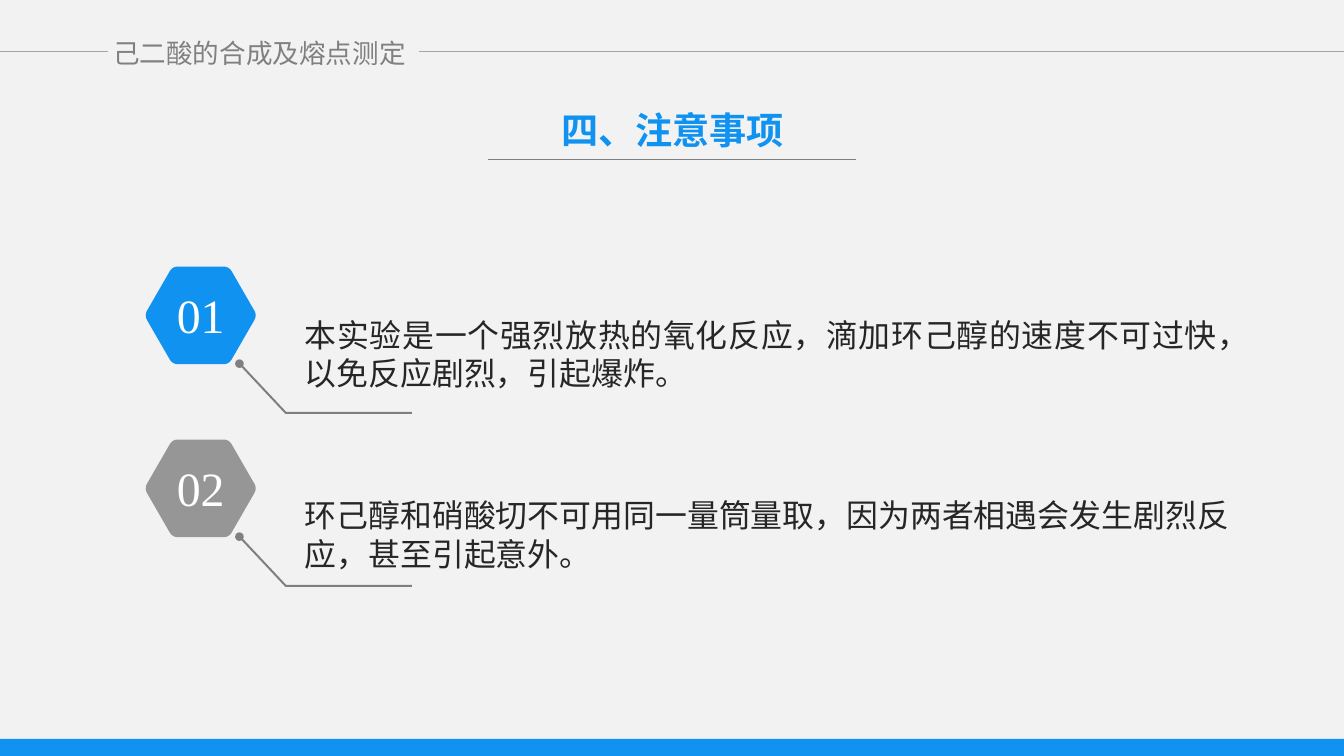
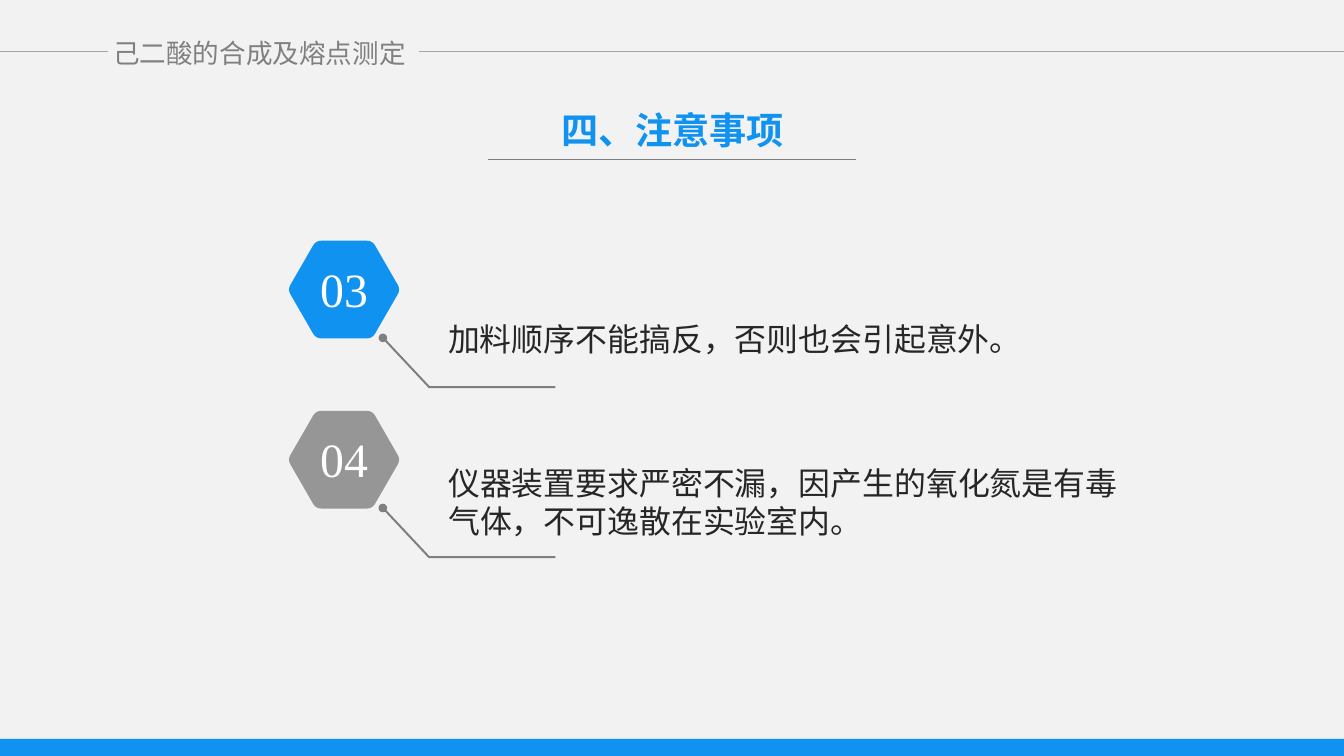
"""Build the two precaution slides of the adipic acid experiment deck."""
from dataclasses import dataclass
from math import cos, pi, sin

from lxml import etree
from pptx import Presentation
from pptx.dml.color import RGBColor as Color
from pptx.enum.shapes import MSO_CONNECTOR as Link, MSO_SHAPE as Preset
from pptx.enum.text import MSO_ANCHOR as Anchor, PP_ALIGN as Align
from pptx.oxml.ns import qn
from pptx.util import Inches, Pt


@dataclass(frozen=True)
class Theme:
    paper: Color = Color(0xF2, 0xF2, 0xF2)
    blue: Color = Color(0x10, 0x92, 0xF1)
    badge_gray: Color = Color(0x96, 0x96, 0x96)
    header_gray: Color = Color(0x80, 0x80, 0x80)
    rule_gray: Color = Color(0xA6, 0xA6, 0xA6)
    leader_gray: Color = Color(0x7F, 0x7F, 0x7F)
    ink: Color = Color(0x26, 0x26, 0x26)
    white: Color = Color(0xFF, 0xFF, 0xFF)
    header_font: str = "Arial"
    body_font: str = "Times New Roman"
    header_size: int = 20
    body_size: int = 24
    title_size: int = 28
    number_size: int = 36


def write(page, text, left, top, width, height, *, size, color, font=Theme.body_font,
          bold=False, align=Align.LEFT, anchor=Anchor.TOP, inset=True):
    box = page.shapes.add_textbox(Inches(left), Inches(top), Inches(width), Inches(height))
    frame = box.text_frame
    frame.word_wrap = True
    frame.vertical_anchor = anchor
    if not inset:
        frame.margin_left = frame.margin_right = frame.margin_top = frame.margin_bottom = 0
    para = frame.paragraphs[0]
    para.alignment = align
    span = para.add_run()
    span.text = text
    span.font.name = font
    span.font.size = Pt(size)
    span.font.bold = bold
    span.font.color.rgb = color
    return box


def draw(page, points=None, *, preset=None, area=None, rule=None, fill=None, line=None, weight=1):
    if rule:
        shape = page.shapes.add_connector(Link.STRAIGHT, *map(Inches, rule))
    elif preset:
        shape = page.shapes.add_shape(preset, *map(Inches, area))
    else:
        outline = [(Inches(x), Inches(y)) for x, y in points]
        builder = page.shapes.build_freeform(*outline[0])
        builder.add_line_segments(outline[1:], close=fill is not None)
        shape = builder.convert_to_shape()
    if line is None:
        shape.line.fill.background()
    else:
        shape.line.color.rgb = line
        shape.line.width = Pt(weight)
    if rule:
        etree.SubElement(shape.element.spPr, qn("a:effectLst"))
        return shape
    shape.shadow.inherit = False
    if fill is None:
        shape.fill.background()
    else:
        shape.fill.solid()
        shape.fill.fore_color.rgb = fill
    return shape


theme = Theme()
deck = Presentation()
deck.slide_width, deck.slide_height = Inches(14.06), Inches(7.91)
blank = deck.slide_layouts[6]
backdrop = deck.slide_master.background.fill
backdrop.solid()
backdrop.fore_color.rgb = theme.paper

radius, trim, steps = 0.59, 0.1, 6
corners = [(radius * cos(k * pi / 3), radius * sin(k * pi / 3)) for k in range(6)]
hexagon = []
for k, corner in enumerate(corners):
    entry, leave = [
        [c + trim * (n - c) for c, n in zip(corner, neighbour)]
        for neighbour in (corners[k - 1], corners[(k + 1) % 6])
    ]
    for t in [step / steps for step in range(steps + 1)]:
        hexagon.append([
            (1 - t) ** 2 * a + 2 * t * (1 - t) * b + t ** 2 * c
            for a, b, c in zip(entry, corner, leave)
        ])
leader = [(0.43, 0.53), (0.89, 1.02), (2.21, 1.02)]

slides = [
    (2.1, 3.3, 1.81, [
        ("01", "本实验是一个强烈放热的氧化反应，滴加环己醇的速度不可过快，以免反应剧烈，引起爆炸。",
         3.25, 10.08, 0.91, Align.JUSTIFY),
        ("02", "环己醇和硝酸切不可用同一量筒量取，因为两者相遇会发生剧烈反应，甚至引起意外。",
         5.14, 10.08, 0.91, Align.LEFT),
    ]),
    (3.6, 3.03, 1.78, [
        ("03", "加料顺序不能搞反，否则也会引起意外。", 3.29, 6.57, 0.5, Align.JUSTIFY),
        ("04", "仪器装置要求严密不漏，因产生的氧化氮是有毒气体，不可逸散在实验室内。",
         4.8, 7.38, 0.91, Align.LEFT),
    ]),
]
pages = [deck.slides.add_slide(blank) for _ in slides]

shared = [
    draw(pages[0], preset=Preset.RECTANGLE, area=(0, 7.73, 14.06, 0.18), fill=theme.blue),
    write(pages[0], "己二酸的合成及熔点测定", 0.93, 0.38, 3.57, 0.34, size=theme.header_size,
          color=theme.header_gray, font=theme.header_font, align=Align.CENTER,
          anchor=Anchor.MIDDLE, inset=False),
    draw(pages[0], rule=(0, 0.54, 1.13, 0.54), line=theme.rule_gray),
    draw(pages[0], rule=(4.38, 0.54, 14.06, 0.54), line=theme.rule_gray),
]
for shape in shared:
    blank.shapes.element.append(shape.element)

for page, (center_x, first_y, pitch, notices) in zip(pages, slides):
    write(page, "四、注意事项", 5.54, 1.12, 2.99, 0.47, size=theme.title_size,
          color=theme.blue, bold=True, align=Align.CENTER, inset=False)
    draw(page, rule=(5.1, 1.67, 8.96, 1.67), line=theme.leader_gray)
    for row, (number, notice, top, width, height, align) in enumerate(notices):
        center_y = first_y + row * pitch
        draw(page, [(center_x + x, center_y + y) for x, y in hexagon],
             fill=(theme.blue, theme.badge_gray)[row])
        write(page, number, center_x - 0.39, center_y - 0.36, 0.78, 0.71,
              size=theme.number_size, color=theme.white, align=Align.CENTER)
        draw(page, preset=Preset.OVAL, area=(center_x + 0.36, center_y + 0.46, 0.09, 0.09),
             fill=theme.header_gray)
        draw(page, [(center_x + x, center_y + y) for x, y in leader],
             line=theme.leader_gray, weight=1.5)
        write(page, notice, center_x + 0.99, top, width, height,
              size=theme.body_size, color=theme.ink, align=align)

deck.save("out.pptx")
